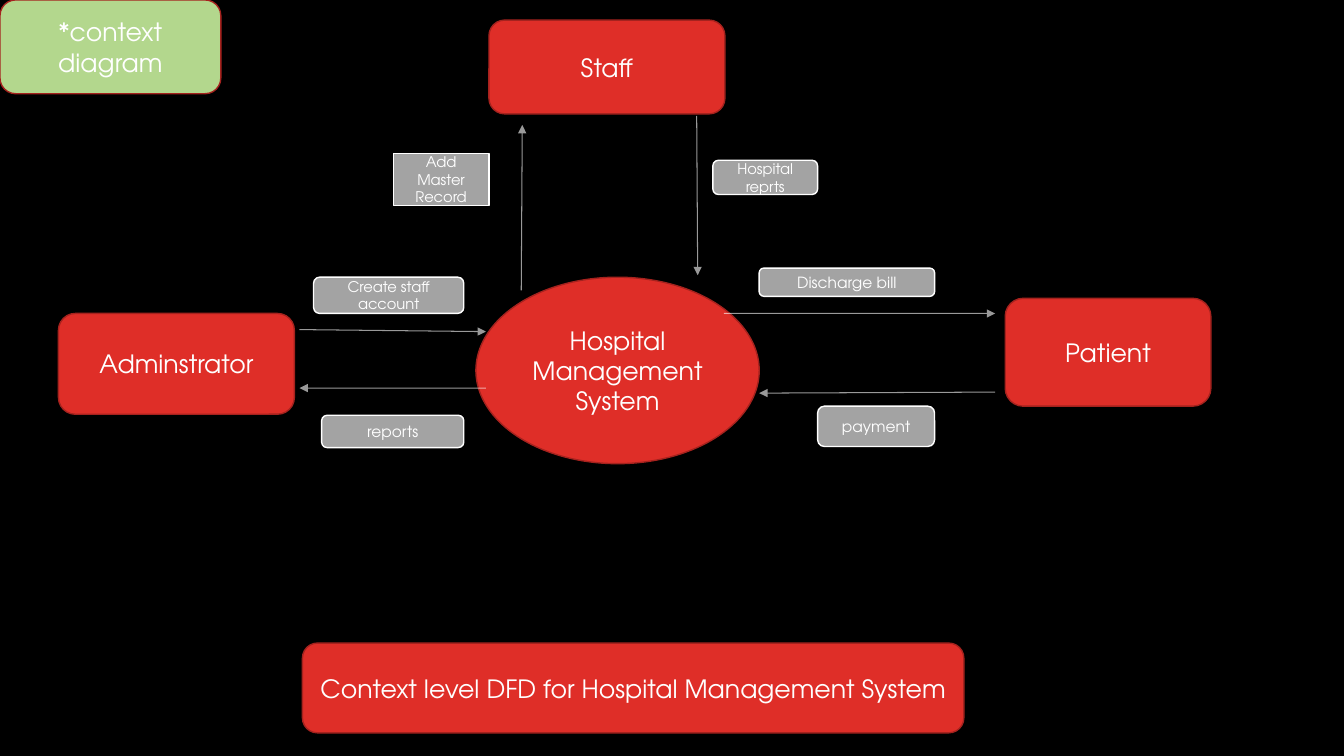
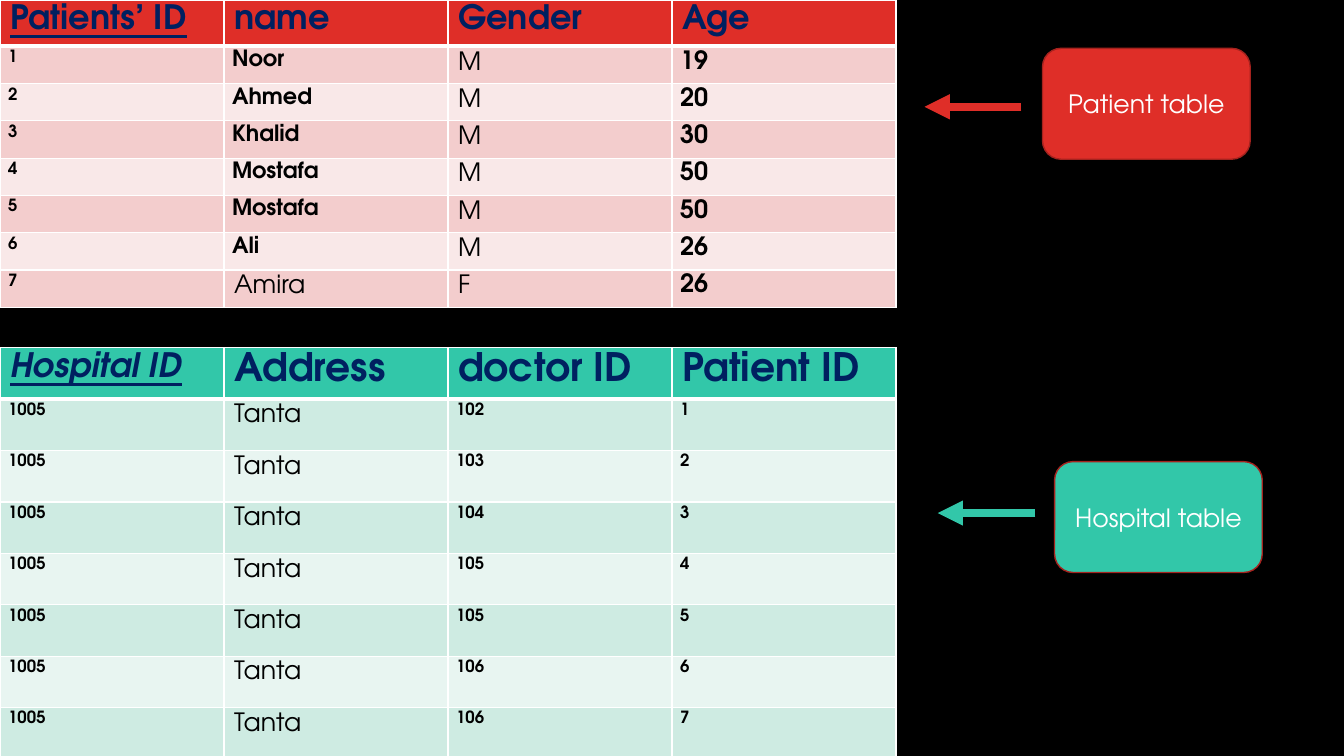
"""Build two slides: a hospital context diagram and two data tables."""
from lxml import etree
from pptx import Presentation
from pptx.dml.color import RGBColor
from pptx.enum.shapes import MSO_CONNECTOR, MSO_SHAPE
from pptx.enum.text import MSO_ANCHOR, PP_ALIGN
from pptx.oxml.ns import qn
from pptx.util import Inches, Pt

STRAIGHT = MSO_CONNECTOR.STRAIGHT
ROUNDED, RECTANGLE, ELLIPSE = (
    MSO_SHAPE.ROUNDED_RECTANGLE, MSO_SHAPE.RECTANGLE, MSO_SHAPE.OVAL)
CENTER, MIDDLE = PP_ALIGN.CENTER, MSO_ANCHOR.MIDDLE

FONT = "TeX Gyre Adventor"
BLACK = RGBColor(0x00, 0x00, 0x00)
WHITE = RGBColor(0xFF, 0xFF, 0xFF)
RED = RGBColor(0xDF, 0x2E, 0x28)
DARK_RED = RGBColor(0xA5, 0x22, 0x1E)
GRAY = RGBColor(0xA3, 0xA3, 0xA3)
GREEN = RGBColor(0xB3, 0xD7, 0x8D)
TEAL = RGBColor(0x32, 0xC7, 0xA9)
NAVY = RGBColor(0x00, 0x20, 0x60)
RED_BANDS = (RGBColor(0xF3, 0xCD, 0xCD), RGBColor(0xF9, 0xE8, 0xE8))
TEAL_BANDS = (RGBColor(0xCE, 0xEB, 0xE2), RGBColor(0xE8, 0xF5, 0xF1))

SLIDE_SIZE = (13.33, 7.5)
TABLE_WIDTH = SLIDE_SIZE[0] * 2 / 3

ENTITIES = [
    ("Staff", (4.85, 0.2, 2.34, 0.93), ROUNDED, RED),
    ("Adminstrator", (0.58, 3.11, 2.34, 1), ROUNDED, RED),
    ("Patient", (9.97, 2.96, 2.04, 1.07), ROUNDED, RED),
    ("Hospital\nManagement\nSystem", (4.72, 2.75, 2.81, 1.85), ELLIPSE, RED),
    ("Context level DFD for Hospital Management System",
     (3, 6.38, 6.56, 0.89), ROUNDED, RED),
    ("*context diagram", (0, 0, 2.19, 0.93), ROUNDED, GREEN),
]
FLOWS = [
    ((7.18, 3.11), (9.87, 3.11)),
    ((9.87, 3.89), (7.53, 3.9)),
    ((2.97, 3.27), (4.82, 3.29)),
    ((4.82, 3.85), (2.97, 3.85)),
    ((5.17, 2.88), (5.18, 1.24)),
    ((6.91, 1.15), (6.92, 2.73)),
]
FLOW_LABELS = [
    ("Add Master Record", (3.9, 1.52, 0.95, 0.52), RECTANGLE, 10.5),
    ("Hospital reprts", (7.07, 1.59, 1.04, 0.34), ROUNDED, 10.5),
    ("Create staff account", (3.11, 2.75, 1.49, 0.36), ROUNDED, 10.5),
    ("reports", (3.19, 4.12, 1.41, 0.32), ROUNDED, 11),
    ("Discharge bill", (7.53, 2.66, 1.74, 0.28), ROUNDED, 11),
    ("payment", (8.11, 4.03, 1.16, 0.4), ROUNDED, 11),
]

SMALL, NAME, PLAIN, STRONG = (12, True), (16, True), (18, False), (18, True)
PATIENTS = [
    ("Noor", "M", 19), ("Ahmed", "M", 20), ("Khalid", "M", 30),
    ("Mostafa", "M", 50), ("Mostafa", "M", 50), ("Ali", "M", 26),
    ("Amira", "F", 26),
]
DOCTORS = (102, 103, 104, 105, 105, 106, 106)
TABLES = [
    {
        "top": 0, "heights": (0.46, 0.37), "fill": RED, "bands": RED_BANDS,
        "header": ("Patients’ ID", "name", "Gender", "Age"),
        "header_sizes": (24, 24, 24, 24), "key_italic": False,
        "rows": [(number, *patient)
                 for number, patient in enumerate(PATIENTS, 1)],
        "styles": (SMALL, NAME, PLAIN, STRONG),
        "exceptions": {"Amira": PLAIN},
        "caption": ("Patient table", (10.34, 0.48, 2.06, 1.1)),
        "arrow": ((10.13, 1.06), (9.17, 1.06)),
    },
    {
        "top": 3.45, "heights": (0.51, 0.51), "fill": TEAL,
        "bands": TEAL_BANDS,
        "header": ("Hospital ID", "Address", "doctor ID", "Patient ID"),
        "header_sizes": (24, 28, 28, 28), "key_italic": True,
        "rows": [(1005, "Tanta", doctor, number)
                 for number, doctor in enumerate(DOCTORS, 1)],
        "styles": (SMALL, PLAIN, SMALL, SMALL),
        "exceptions": {},
        "caption": ("Hospital table", (10.46, 4.58, 2.06, 1.1)),
        "arrow": ((10.27, 5.09), (9.3, 5.09)),
    },
]


def set_font(paragraph, size, color, bold=False):
    font = paragraph.font
    font.name, font.size, font.bold = FONT, Pt(size), bold
    font.color.rgb = color


def add_box(page, text, place, kind, fill, line, size=18):
    box = page.shapes.add_shape(kind, *map(Inches, place))
    box.shadow.inherit = False
    box.fill.solid()
    box.fill.fore_color.rgb = fill
    box.line.color.rgb = line
    box.line.width = Pt(1)
    frame = box.text_frame
    frame.word_wrap = True
    frame.vertical_anchor = MIDDLE
    frame.text = text
    for paragraph in frame.paragraphs:
        paragraph.alignment = CENTER
        set_font(paragraph, size, WHITE)


def add_arrow(page, start, end, color, width, opacity=100):
    arrow = page.shapes.add_connector(STRAIGHT, *map(Inches, start + end))
    arrow.line.color.rgb = color
    arrow.line.width = Pt(width)
    properties = arrow._element.spPr
    line = properties.find(qn("a:ln"))
    if opacity < 100:
        tint = line.find(".//" + qn("a:srgbClr"))
        etree.SubElement(tint, qn("a:alpha"), val=str(opacity * 1000))
    etree.SubElement(line, qn("a:tailEnd"), type="triangle")
    etree.SubElement(properties, qn("a:effectLst"))


def format_cell(cell, fill, top, bottom):
    cell.fill.solid()
    cell.fill.fore_color.rgb = fill
    properties = cell._tc.get_or_add_tcPr()
    widths = {"a:lnL": 1, "a:lnR": 1, "a:lnT": top, "a:lnB": bottom}
    for position, (side, width) in enumerate(widths.items()):
        border = etree.Element(qn(side), w=str(Pt(width)))
        paint = etree.SubElement(border, qn("a:solidFill"))
        etree.SubElement(paint, qn("a:srgbClr"), val=str(WHITE))
        properties.insert(position, border)


def fill_header(table, data):
    for column, text in enumerate(data["header"]):
        cell = table.cell(0, column)
        cell.text = text
        paragraph = cell.text_frame.paragraphs[0]
        set_font(paragraph, data["header_sizes"][column], NAVY, True)
        if column == 0:
            paragraph.font.underline = True
            paragraph.font.italic = data["key_italic"]
        format_cell(cell, data["fill"], 1, 3)


def fill_body(table, data):
    for row, values in enumerate(data["rows"], 1):
        for column, value in enumerate(values):
            cell = table.cell(row, column)
            cell.text = str(value)
            size, bold = data["exceptions"].get(value, data["styles"][column])
            set_font(cell.text_frame.paragraphs[0], size, BLACK, bold)
            if bold:
                cell.margin_left = cell.margin_right = Inches(0.08)
                cell.margin_top = cell.margin_bottom = Inches(0.04)
            format_cell(cell, data["bands"][(row - 1) % 2],
                        3 if row == 1 else 1, 1)


def add_data_table(page, data):
    row_count, column_count = len(data["rows"]) + 1, len(data["header"])
    header_height, row_height = data["heights"]
    height = header_height + row_height * len(data["rows"])
    table = page.shapes.add_table(
        row_count, column_count, 0, Inches(data["top"]),
        Inches(TABLE_WIDTH), Inches(height)).table
    for index, row in enumerate(table.rows):
        row.height = Inches(row_height if index else header_height)
    fill_header(table, data)
    fill_body(table, data)


def build_diagram(page):
    for text, place, kind, fill in ENTITIES:
        add_box(page, text, place, kind, fill, DARK_RED)
    for start, end in FLOWS:
        add_arrow(page, start, end, WHITE, 0.75, 60)
    for text, place, kind, size in FLOW_LABELS:
        add_box(page, text, place, kind, GRAY, WHITE, size)


def build_tables(page):
    for data in TABLES:
        add_data_table(page, data)
        text, place = data["caption"]
        add_box(page, text, place, ROUNDED, data["fill"], DARK_RED)
        add_arrow(page, *data["arrow"], data["fill"], 6)


def main():
    deck = Presentation()
    deck.slide_width, deck.slide_height = map(Inches, SLIDE_SIZE)
    background = deck.slide_master.background.fill
    background.solid()
    background.fore_color.rgb = BLACK
    blank = deck.slide_layouts[6]
    for build in (build_diagram, build_tables):
        build(deck.slides.add_slide(blank))
    deck.save("out.pptx")


if __name__ == "__main__":
    main()
